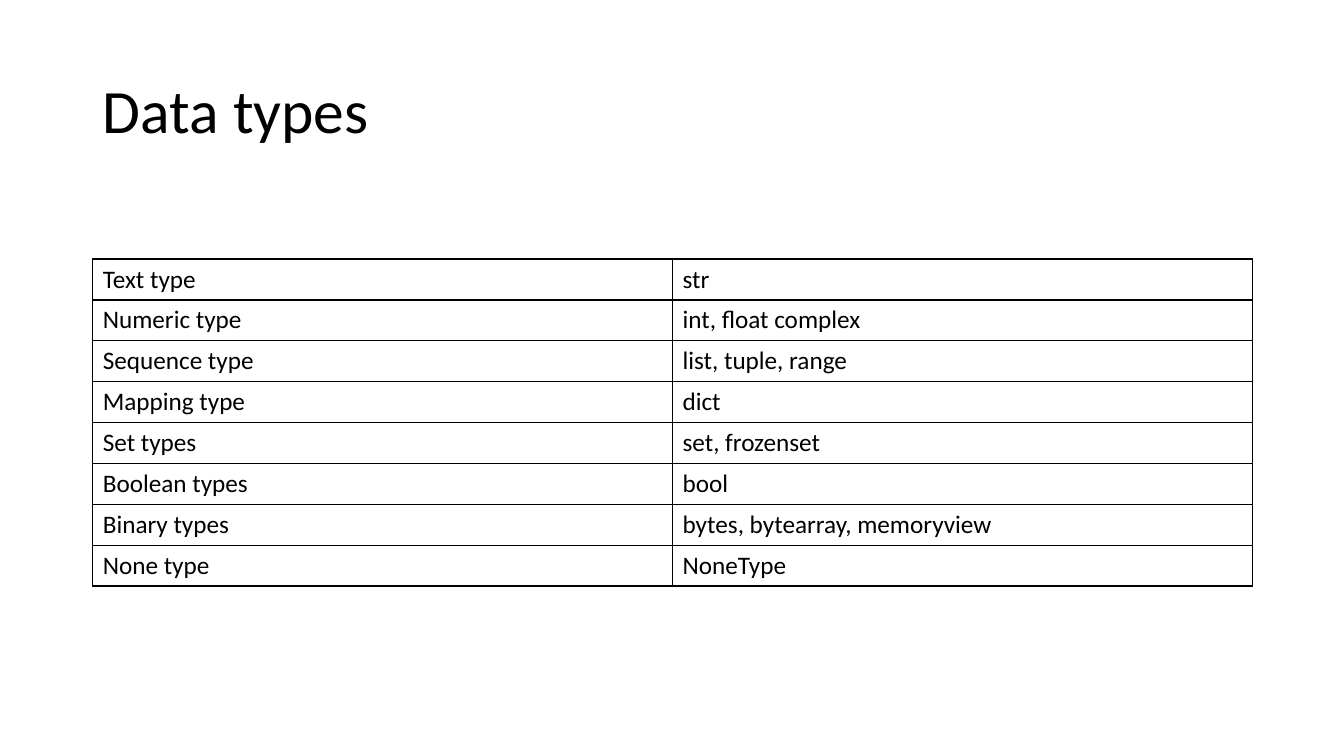
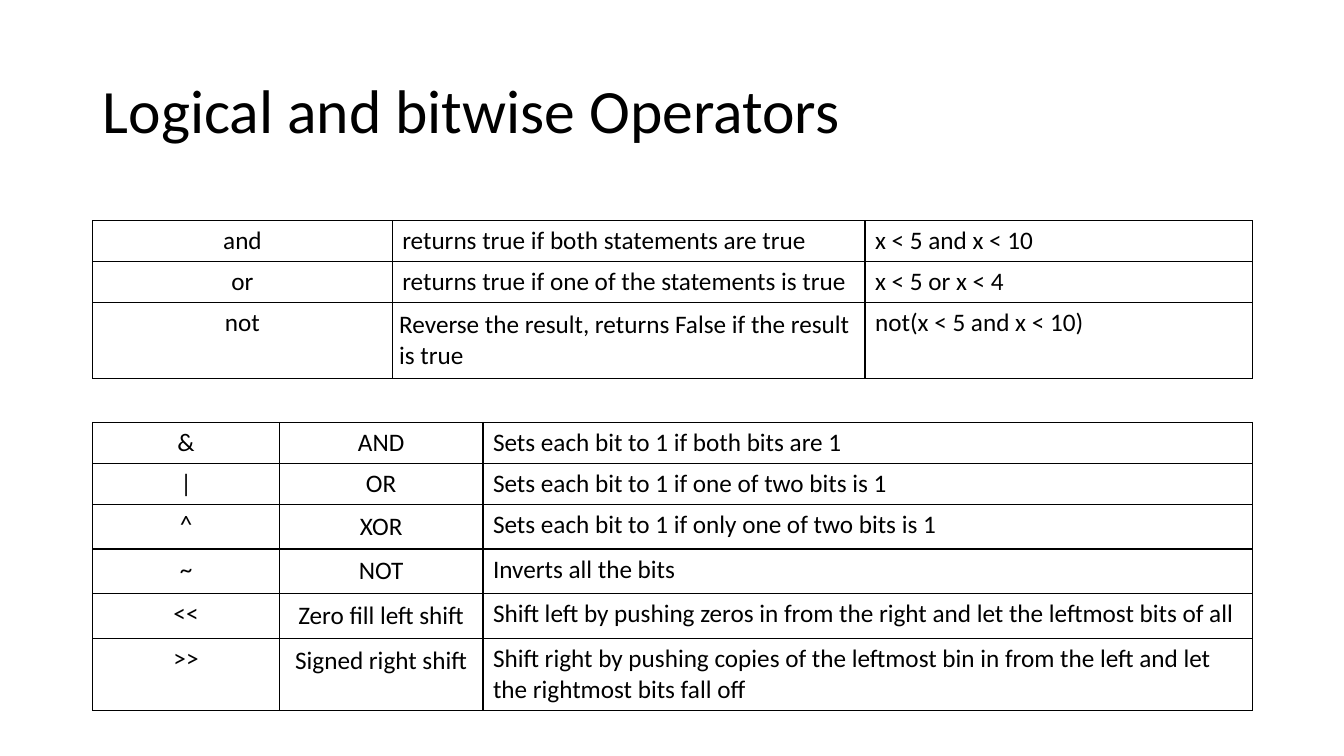
from dataclasses import dataclass

from lxml import etree
from pptx import Presentation
from pptx.dml.color import RGBColor
from pptx.enum.text import MSO_ANCHOR, PP_ALIGN
from pptx.oxml.ns import qn
from pptx.util import Inches, Pt

LEFT, CENTER = PP_ALIGN.LEFT, PP_ALIGN.CENTER
TOP, MIDDLE = MSO_ANCHOR.TOP, MSO_ANCHOR.MIDDLE
TITLE_ONLY = 5


@dataclass(frozen=True)
class Theme:
    font: str = "Calibri"
    ink: str = "000000"
    paper: str = "FFFFFF"
    title_size: int = 44
    body_size: int = 18
    border_width: int = 1
    margin: float = 0.92
    content_width: float = 11.5
    title_top: float = 0.4
    title_height: float = 1.45
    row_height: float = 0.4
    loose_padding: float = 0.07


class Deck:
    """Holds the theme, the presentation and the current slide."""

    def __init__(self, theme):
        self.theme = theme
        self.slide = None
        self.presentation = Presentation()
        self.presentation.slide_width = Inches(13.33)
        self.presentation.slide_height = Inches(7.5)

    def add_slide(self, title):
        theme = self.theme
        layout = self.presentation.slide_layouts[TITLE_ONLY]
        self.slide = self.presentation.slides.add_slide(layout)
        background = self.slide.background.fill
        background.solid()
        background.fore_color.rgb = RGBColor.from_string(theme.paper)

        shape = self.slide.shapes.title
        placement = {
            "left": Inches(theme.margin),
            "top": Inches(theme.title_top),
            "width": Inches(theme.content_width),
            "height": Inches(theme.title_height),
        }
        for name, value in placement.items():
            setattr(shape, name, value)
        shape.text_frame.word_wrap = True
        shape.text_frame.vertical_anchor = MIDDLE
        self.add_text(shape.text_frame, title, theme.title_size, LEFT)
        shape.text_frame.paragraphs[0].line_spacing = 0.9

    def add_text(self, text_frame, text, size, alignment):
        paragraph = text_frame.paragraphs[0]
        paragraph.alignment = alignment
        run = paragraph.add_run()
        run.text = text
        font_format = {"name": self.theme.font, "size": Pt(size), "bold": False}
        for name, value in font_format.items():
            setattr(run.font, name, value)
        run.font.color.rgb = RGBColor.from_string(self.theme.ink)

    def add_table(self, top, column_widths, rows, centered=(), loose=()):
        """Centre the given columns; pad the given (row, column) cells evenly."""
        theme = self.theme
        table = self.slide.shapes.add_table(
            len(rows), len(column_widths), Inches(theme.margin), Inches(top),
            Inches(theme.content_width), Inches(theme.row_height * len(rows)),
        ).table
        table.first_row = table.horz_banding = False
        for column, width in zip(table.columns, column_widths):
            column.width = Inches(width)
        for row_index, texts in enumerate(rows):
            for column_index, text in enumerate(texts):
                cell = table.cell(row_index, column_index)
                alignment = CENTER if column_index in centered else LEFT
                self.add_text(cell.text_frame, text, theme.body_size, alignment)
                cell.vertical_anchor = TOP
                if (row_index, column_index) in loose:
                    for side in ("left", "right", "top", "bottom"):
                        setattr(cell, f"margin_{side}", Inches(theme.loose_padding))
                self.add_borders(cell)
                cell.fill.background()

    def add_borders(self, cell):
        properties = cell._tc.get_or_add_tcPr()
        for tag in ("a:lnL", "a:lnR", "a:lnT", "a:lnB"):
            line = etree.SubElement(properties, qn(tag), w=str(Pt(self.theme.border_width)))
            fill = etree.SubElement(line, qn("a:solidFill"))
            etree.SubElement(fill, qn("a:srgbClr"), val=self.theme.ink)


DATA_TYPES = [
    ("Text type", "str"),
    ("Numeric type", "int, float complex"),
    ("Sequence type", "list, tuple, range"),
    ("Mapping type", "dict"),
    ("Set types", "set, frozenset"),
    ("Boolean types", "bool"),
    ("Binary types", "bytes, bytearray, memoryview"),
    ("None type", "NoneType"),
]
LOGICAL_OPERATORS = [
    ("and", "returns true if both statements are true", "x < 5 and x < 10"),
    ("or", "returns true if one of the statements is true", "x < 5 or x < 4"),
    ("not", "Reverse the result, returns False if the result is true",
     "not(x < 5 and x < 10)"),
]
BITWISE_OPERATORS = [
    ("&", "AND", "Sets each bit to 1 if both bits are 1"),
    ("|", "OR", "Sets each bit to 1 if one of two bits is 1"),
    ("^", "XOR", "Sets each bit to 1 if only one of two bits is 1"),
    ("~", "NOT", "Inverts all the bits"),
    ("<<", "Zero fill left shift",
     "Shift left by pushing zeros in from the right and let the leftmost bits of all"),
    (">>", "Signed right shift",
     "Shift right by pushing copies of the leftmost bin in from the left and let "
     "the rightmost bits fall off"),
]


def main():
    deck = Deck(Theme())

    # Data types
    deck.add_slide("Data types")
    deck.add_table(2.57, (5.75, 5.75), DATA_TYPES)

    # Logical and bitwise operators
    deck.add_slide("Logical and bitwise Operators")
    deck.add_table(2.19, (2.97, 4.69, 3.84), LOGICAL_OPERATORS,
                   centered=(0,), loose={(2, 1)})
    deck.add_table(4.19, (1.85, 2.02, 7.63), BITWISE_OPERATORS,
                   centered=(0, 1), loose={(row, 1) for row in range(2, 6)})

    deck.presentation.save("out.pptx")


if __name__ == "__main__":
    main()
